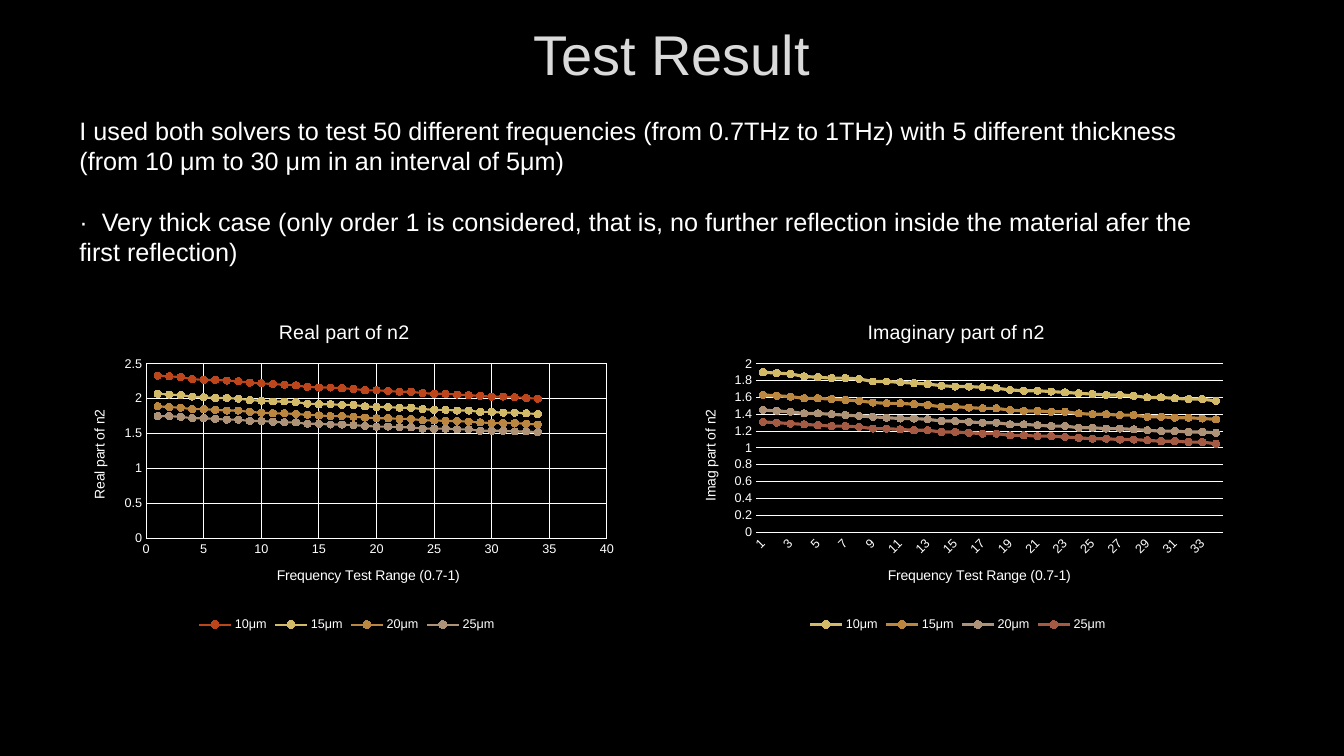
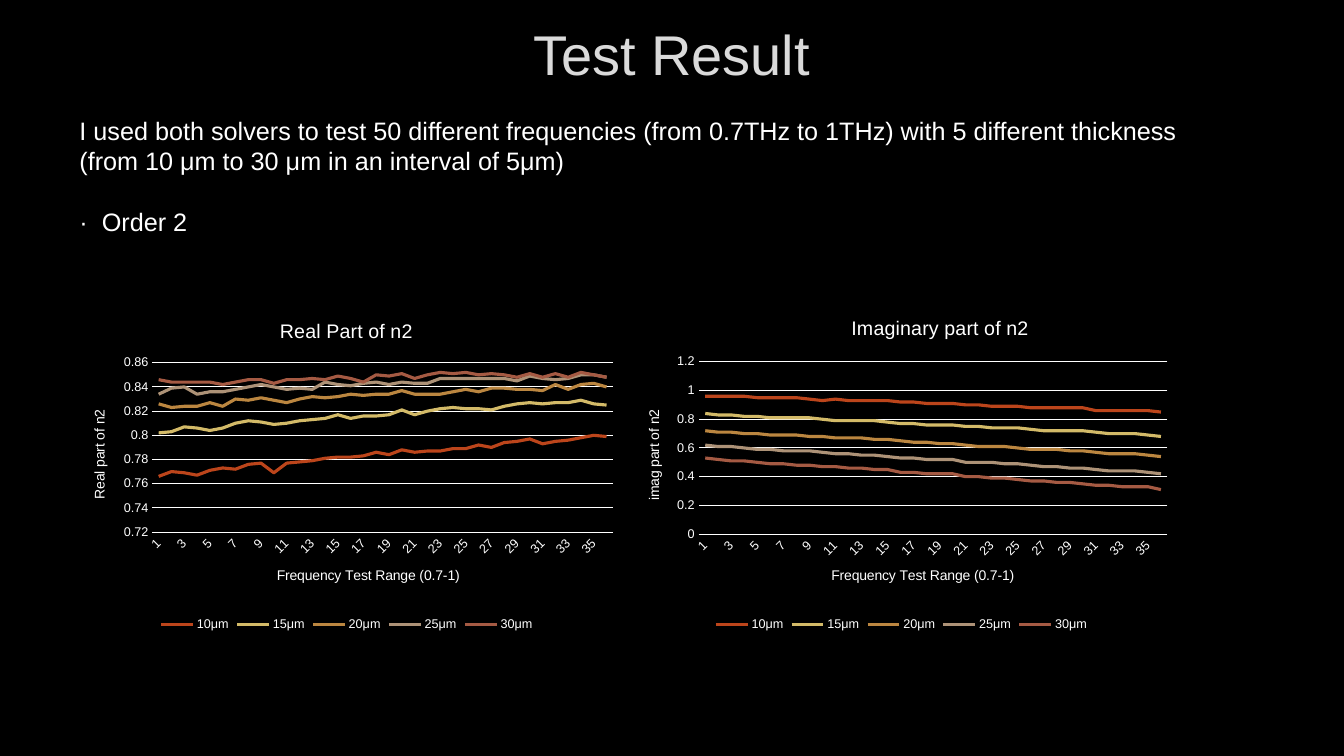
"""Build two test result slides with charts of the refractive index n2."""
from dataclasses import dataclass

from lxml import etree
from pptx import Presentation
from pptx.chart.data import CategoryChartData, XyChartData
from pptx.dml.color import RGBColor
from pptx.enum.chart import XL_CHART_TYPE, XL_LEGEND_POSITION, XL_MARKER_STYLE, XL_TICK_MARK
from pptx.enum.text import MSO_ANCHOR, PP_ALIGN
from pptx.oxml.ns import qn
from pptx.util import Inches, Pt

SCATTER = XL_CHART_TYPE.XY_SCATTER_LINES
LINE_MARKERS = XL_CHART_TYPE.LINE_MARKERS
LINE = XL_CHART_TYPE.LINE
BOTTOM = XL_LEGEND_POSITION.BOTTOM
CIRCLE = XL_MARKER_STYLE.CIRCLE
NO_TICK = XL_TICK_MARK.NONE
MIDDLE = MSO_ANCHOR.MIDDLE
LEFT, CENTER = PP_ALIGN.LEFT, PP_ALIGN.CENTER


@dataclass(frozen=True)
class Theme:
    font: str = "Arial"
    background: RGBColor = RGBColor(0x00, 0x00, 0x00)
    heading: RGBColor = RGBColor(0xDA, 0xDA, 0xDA)
    text: RGBColor = RGBColor(0xFF, 0xFF, 0xFF)
    series: tuple = tuple(map(RGBColor.from_string, ("BC451B", "D3BA68", "BB8640", "AD9277", "A55A43")))
    heading_size: int = 40
    body_size: int = 18
    chart_title_size: int = 14
    axis_title_size: int = 10
    label_size: int = 9
    grid_width: float = 0.75
    scatter_width: float = 1.5
    line_width: float = 2.25
    marker_size: int = 5


THEME = Theme()
MARGIN = 0.69
CHART_TOP, CHART_WIDTH, CHART_HEIGHT = 3.01, 5.5, 3.3
CATEGORY_TITLE_AT = (2.03, 2.58)
VALUE_TITLE_AT = (0.18, 1.03)
THICKNESSES = range(10, 31, 5)
INTRO = ("I used both solvers to test 50 different frequencies (from 0.7THz to 1THz) with 5 different "
         "thickness (from 10 μm to 30 μm in an interval of 5μm)")
THICK_CASE = ("·  Very thick case (only order 1 is considered, that is, no further reflection "
              "inside the material afer the first reflection)")
ORDER_CASE = "·  Order 2"


def write(frame, text, size, color=THEME.text, align=LEFT, before=0):
    """Add one formatted paragraph, using the first one while it is empty."""
    para = frame.paragraphs[0] if not frame.text else frame.add_paragraph()
    para.alignment = align
    para.space_before = Pt(before)
    span = para.add_run()
    span.text = text
    span.font.name, span.font.size, span.font.bold = THEME.font, Pt(size), False
    span.font.color.rgb = color


def place(element, index, left, top, right=None, bottom=None):
    """Fix a chart part, measured in inches from the chart's top left corner."""
    for old in element.findall(qn("c:layout")):
        element.remove(old)
    settings = {"xMode": "edge", "yMode": "edge", "x": left / CHART_WIDTH, "y": top / CHART_HEIGHT}
    if right:
        settings = {"layoutTarget": "inner", **settings,
                    "w": (right - left) / CHART_WIDTH, "h": (bottom - top) / CHART_HEIGHT}
    layout = etree.Element(qn("c:layout"))
    manual = etree.SubElement(layout, qn("c:manualLayout"))
    for tag, value in settings.items():
        etree.SubElement(manual, qn(f"c:{tag}")).set("val", str(value))
    element.insert(index, layout)


thick_real = [
    [2.33, 2.32, 2.31, 2.28, 2.27, 2.27, 2.26, 2.25, 2.23, 2.22, 2.21, 2.2, 2.19, 2.17, 2.16, 2.16, 2.15,
     2.14, 2.12, 2.12, 2.11, 2.1, 2.1, 2.08, 2.07, 2.07, 2.06, 2.05, 2.04, 2.03, 2.03, 2.02, 2.01, 2],
    [2.07, 2.06, 2.05, 2.03, 2.02, 2.01, 2.01, 2, 1.98, 1.97, 1.96, 1.96, 1.95, 1.93, 1.92, 1.92, 1.91,
     1.91, 1.89, 1.88, 1.88, 1.87, 1.87, 1.85, 1.84, 1.84, 1.83, 1.83, 1.81, 1.81, 1.8, 1.8, 1.79, 1.78],
    [1.89, 1.88, 1.87, 1.85, 1.85, 1.84, 1.83, 1.83, 1.81, 1.8, 1.79, 1.79, 1.78, 1.77, 1.76, 1.75, 1.75,
     1.74, 1.73, 1.72, 1.72, 1.71, 1.71, 1.69, 1.69, 1.68, 1.68, 1.67, 1.66, 1.65, 1.65, 1.65, 1.64, 1.63],
    [1.75, 1.75, 1.74, 1.72, 1.72, 1.71, 1.7, 1.7, 1.68, 1.68, 1.67, 1.66, 1.66, 1.64, 1.64, 1.63, 1.63,
     1.62, 1.61, 1.6, 1.6, 1.59, 1.59, 1.57, 1.57, 1.57, 1.56, 1.56, 1.54, 1.54, 1.54, 1.53, 1.53, 1.52],
]
thick_imaginary = [
    [1.9, 1.89, 1.88, 1.85, 1.84, 1.83, 1.83, 1.82, 1.79, 1.79, 1.78, 1.77, 1.76, 1.74, 1.73, 1.73, 1.72,
     1.71, 1.69, 1.68, 1.68, 1.67, 1.66, 1.65, 1.64, 1.63, 1.63, 1.62, 1.6, 1.6, 1.59, 1.58, 1.58, 1.56],
    [1.63, 1.62, 1.61, 1.59, 1.59, 1.58, 1.57, 1.56, 1.54, 1.53, 1.53, 1.52, 1.51, 1.49, 1.49, 1.48, 1.47,
     1.47, 1.45, 1.44, 1.44, 1.43, 1.43, 1.41, 1.4, 1.4, 1.39, 1.39, 1.37, 1.37, 1.36, 1.36, 1.35, 1.34],
    [1.45, 1.44, 1.43, 1.41, 1.41, 1.4, 1.39, 1.38, 1.37, 1.36, 1.35, 1.35, 1.34, 1.32, 1.32, 1.31, 1.3,
     1.3, 1.28, 1.28, 1.27, 1.26, 1.26, 1.24, 1.24, 1.23, 1.23, 1.22, 1.21, 1.2, 1.2, 1.19, 1.19, 1.18],
    [1.31, 1.3, 1.29, 1.28, 1.27, 1.26, 1.26, 1.25, 1.23, 1.23, 1.22, 1.21, 1.21, 1.19, 1.19, 1.18, 1.17,
     1.17, 1.15, 1.15, 1.14, 1.14, 1.13, 1.12, 1.11, 1.11, 1.1, 1.1, 1.09, 1.08, 1.08, 1.07, 1.07, 1.05],
]
order_real = [
    [0.766, 0.77, 0.769, 0.767, 0.771, 0.773, 0.772, 0.776, 0.777, 0.769, 0.777, 0.778,
     0.779, 0.781, 0.782, 0.782, 0.783, 0.786, 0.784, 0.788, 0.786, 0.787, 0.787, 0.789,
     0.789, 0.792, 0.79, 0.794, 0.795, 0.797, 0.793, 0.795, 0.796, 0.798, 0.8, 0.799],
    [0.802, 0.803, 0.807, 0.806, 0.804, 0.806, 0.81, 0.812, 0.811, 0.809, 0.81, 0.812,
     0.813, 0.814, 0.817, 0.814, 0.816, 0.816, 0.817, 0.821, 0.817, 0.82, 0.822, 0.823,
     0.822, 0.822, 0.821, 0.824, 0.826, 0.827, 0.826, 0.827, 0.827, 0.829, 0.826, 0.825],
    [0.826, 0.823, 0.824, 0.824, 0.827, 0.824, 0.83, 0.829, 0.831, 0.829, 0.827, 0.83,
     0.832, 0.831, 0.832, 0.834, 0.833, 0.834, 0.834, 0.837, 0.834, 0.834, 0.834, 0.836,
     0.838, 0.836, 0.839, 0.839, 0.838, 0.838, 0.837, 0.842, 0.838, 0.842, 0.843, 0.84],
    [0.834, 0.839, 0.84, 0.834, 0.836, 0.836, 0.838, 0.84, 0.842, 0.84, 0.838, 0.839,
     0.838, 0.844, 0.842, 0.841, 0.843, 0.844, 0.842, 0.844, 0.843, 0.843, 0.847, 0.847,
     0.847, 0.847, 0.847, 0.847, 0.845, 0.849, 0.847, 0.846, 0.847, 0.85, 0.85, 0.848],
    [0.846, 0.844, 0.844, 0.844, 0.844, 0.842, 0.844, 0.846, 0.846, 0.843, 0.846, 0.846,
     0.847, 0.846, 0.849, 0.847, 0.844, 0.85, 0.849, 0.851, 0.847, 0.85, 0.852, 0.851,
     0.852, 0.85, 0.851, 0.85, 0.848, 0.851, 0.848, 0.851, 0.848, 0.852, 0.85, 0.848],
]
order_imaginary = [
    [0.96, 0.96, 0.96, 0.96, 0.95, 0.95, 0.95, 0.95, 0.94, 0.93, 0.94, 0.93, 0.93, 0.93, 0.93, 0.92, 0.92, 0.91,
     0.91, 0.91, 0.9, 0.9, 0.89, 0.89, 0.89, 0.88, 0.88, 0.88, 0.88, 0.88, 0.86, 0.86, 0.86, 0.86, 0.86, 0.85],
    [0.84, 0.83, 0.83, 0.82, 0.82, 0.81, 0.81, 0.81, 0.81, 0.8, 0.79, 0.79, 0.79, 0.79, 0.78, 0.77, 0.77, 0.76,
     0.76, 0.76, 0.75, 0.75, 0.74, 0.74, 0.74, 0.73, 0.72, 0.72, 0.72, 0.72, 0.71, 0.7, 0.7, 0.7, 0.69, 0.68],
    [0.72, 0.71, 0.71, 0.7, 0.7, 0.69, 0.69, 0.69, 0.68, 0.68, 0.67, 0.67, 0.67, 0.66, 0.66, 0.65, 0.64, 0.64,
     0.63, 0.63, 0.62, 0.61, 0.61, 0.61, 0.6, 0.59, 0.59, 0.59, 0.58, 0.58, 0.57, 0.56, 0.56, 0.56, 0.55, 0.54],
    [0.62, 0.61, 0.61, 0.6, 0.59, 0.59, 0.58, 0.58, 0.58, 0.57, 0.56, 0.56, 0.55, 0.55, 0.54, 0.53, 0.53, 0.52,
     0.52, 0.52, 0.5, 0.5, 0.5, 0.49, 0.49, 0.48, 0.47, 0.47, 0.46, 0.46, 0.45, 0.44, 0.44, 0.44, 0.43, 0.42],
    [0.53, 0.52, 0.51, 0.51, 0.5, 0.49, 0.49, 0.48, 0.48, 0.47, 0.47, 0.46, 0.46, 0.45, 0.45, 0.43, 0.43, 0.42,
     0.42, 0.42, 0.4, 0.4, 0.39, 0.39, 0.38, 0.37, 0.37, 0.36, 0.36, 0.35, 0.34, 0.34, 0.33, 0.33, 0.33, 0.31],
]


@dataclass(frozen=True)
class Plan:
    kind: int
    left: float
    title: str
    value_title: str
    rows: list
    scale: tuple
    title_at: tuple
    plot_edges: tuple
    colors: tuple = THEME.series


slides = [
    (THICK_CASE, 2.52, [
        Plan(SCATTER, MARGIN, "Real part of n2", "Real part of n2", thick_real,
             scale=(0, 2.5, 0.5), title_at=(2.04, 0.12), plot_edges=(0.76, 0.6, 5.33, 2.33)),
        Plan(LINE_MARKERS, 6.75, "Imaginary part of n2", "Imag part of n2", thick_imaginary,
             scale=(0, 2, 0.2), title_at=(1.82, 0.12), plot_edges=(0.75, 0.6, 5.38, 2.27),
             colors=THEME.series[1:]),
    ]),
    (ORDER_CASE, 1.92, [
        Plan(LINE, MARGIN, "Real Part of n2", "Real part of n2", order_real,
             scale=(0.72, 0.86, 0.02), title_at=(2.05, 0.11), plot_edges=(0.82, 0.59, 5.39, 2.27)),
        Plan(LINE, MARGIN + CHART_WIDTH, "Imaginary part of n2", "imag part of n2", order_imaginary,
             scale=(0, 1.2, 0.2), title_at=(2.22, 0.08), plot_edges=(0.74, 0.58, 5.39, 2.29)),
    ]),
]

deck = Presentation()
deck.slide_width, deck.slide_height = Inches(13.33), Inches(7.5)

for case, body_height, plans in slides:
    page = deck.slides.add_slide(deck.slide_layouts[6])
    page.background.fill.solid()
    page.background.fill.fore_color.rgb = THEME.background

    heading = page.shapes.add_textbox(Inches(1), Inches(0), Inches(11.32), Inches(1.06)).text_frame
    heading.word_wrap = True
    heading.vertical_anchor = MIDDLE
    write(heading, "Test Result", THEME.heading_size, color=THEME.heading, align=CENTER)

    body = page.shapes.add_textbox(Inches(MARGIN), Inches(1.09), Inches(11.36), Inches(body_height)).text_frame
    body.word_wrap = True
    write(body, INTRO, THEME.body_size)
    write(body, case, THEME.body_size, before=22)

    for plan in plans:
        is_scatter = plan.kind == SCATTER
        steps = range(1, len(plan.rows[0]) + 1)
        data = XyChartData() if is_scatter else CategoryChartData()
        if not is_scatter:
            data.categories = [str(step) for step in steps]
        for thickness, row in zip(THICKNESSES, plan.rows):
            name = f"{thickness}μm"
            if is_scatter:
                points = data.add_series(name)
                for step, value in zip(steps, row):
                    points.add_data_point(step, value)
            else:
                data.add_series(name, row)

        chart = page.shapes.add_chart(plan.kind, Inches(plan.left), Inches(CHART_TOP),
                                      Inches(CHART_WIDTH), Inches(CHART_HEIGHT), data).chart
        chart.font.name, chart.font.size = THEME.font, Pt(THEME.label_size)
        chart.font.color.rgb = THEME.text
        chart.plots[0].vary_by_categories = False
        chart.has_legend = True
        chart.legend.position = BOTTOM
        chart.legend.include_in_layout = False

        for series, color in zip(chart.plots[0].series, plan.colors):
            series.format.line.color.rgb = color
            series.format.line.width = Pt(THEME.scatter_width if is_scatter else THEME.line_width)
            if not is_scatter:
                series.smooth = False
            if plan.kind != LINE:
                marker = series.marker
                marker.style, marker.size = CIRCLE, THEME.marker_size
                marker.format.fill.solid()
                marker.format.fill.fore_color.rgb = color
                marker.format.line.color.rgb = color

        horizontal, vertical = chart.category_axis, chart.value_axis
        for axis in (horizontal, vertical):
            axis.major_tick_mark = axis.minor_tick_mark = NO_TICK
            axis.tick_labels.font.size = Pt(THEME.label_size)
            axis.tick_labels.number_format = "General"
            axis.tick_labels.number_format_is_linked = False

        horizontal.has_major_gridlines = is_scatter
        vertical.has_major_gridlines = True
        vertical.minimum_scale, vertical.maximum_scale, vertical.major_unit = plan.scale
        white_lines = [horizontal.format.line, vertical.major_gridlines.format.line]
        if is_scatter:
            horizontal.minimum_scale, horizontal.maximum_scale, horizontal.major_unit = 0, 40, 5
            white_lines += [vertical.format.line, horizontal.major_gridlines.format.line]
        else:
            vertical.format.line.fill.background()
            label_format = chart.element.find(f".//{qn('c:catAx')}/{qn('c:txPr')}/{qn('a:bodyPr')}")
            label_format.set("rot", "-2700000")
        for line in white_lines:
            line.color.rgb = THEME.text
            line.width = Pt(THEME.grid_width)

        titles = [
            (chart.chart_title, plan.title, THEME.chart_title_size, plan.title_at),
            (horizontal.axis_title, "Frequency Test Range (0.7-1)", THEME.axis_title_size, CATEGORY_TITLE_AT),
            (vertical.axis_title, plan.value_title, THEME.axis_title_size, VALUE_TITLE_AT),
        ]
        for title, text, size, (left, top) in titles:
            write(title.text_frame, text, size, align=CENTER)
            place(title.element, 1, left, top)
        vertical.axis_title.element.find(f".//{qn('a:bodyPr')}").set("rot", "-5400000")
        place(chart.element.find(f".//{qn('c:plotArea')}"), 0, *plan.plot_edges)

deck.save("out.pptx")
